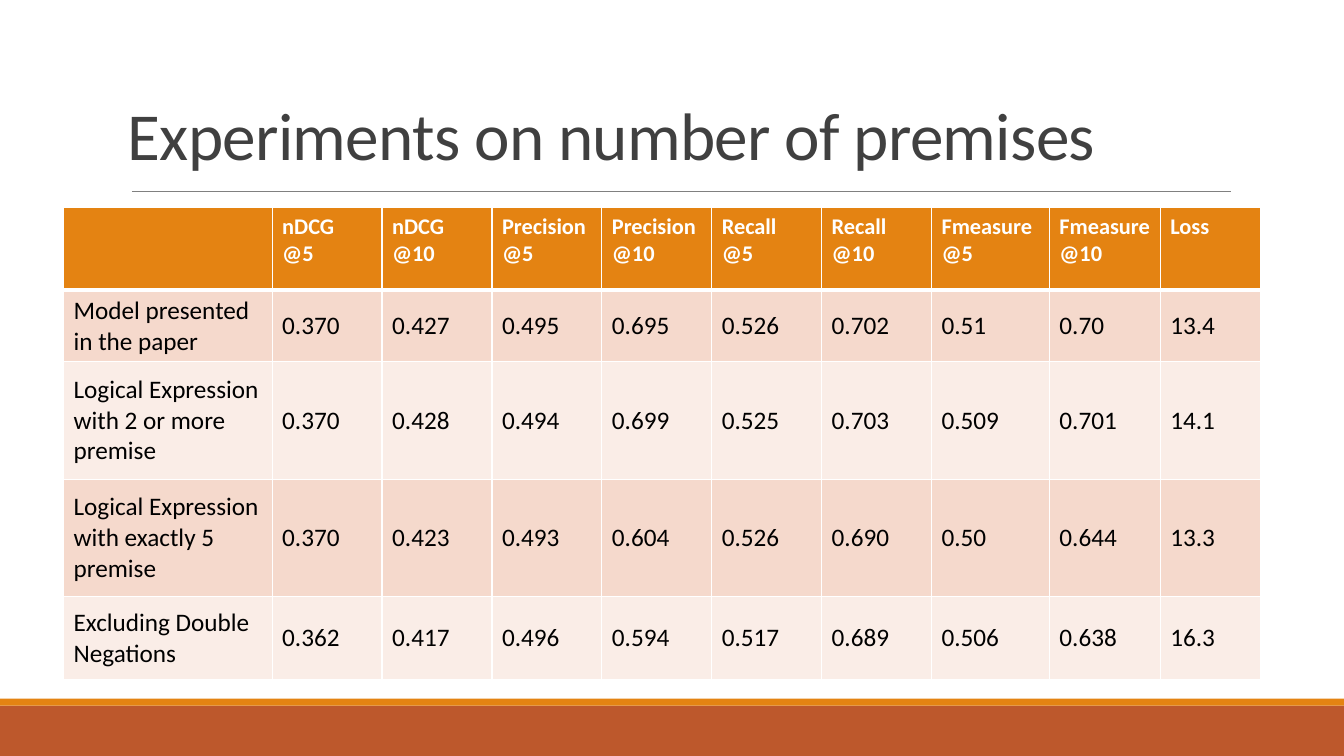
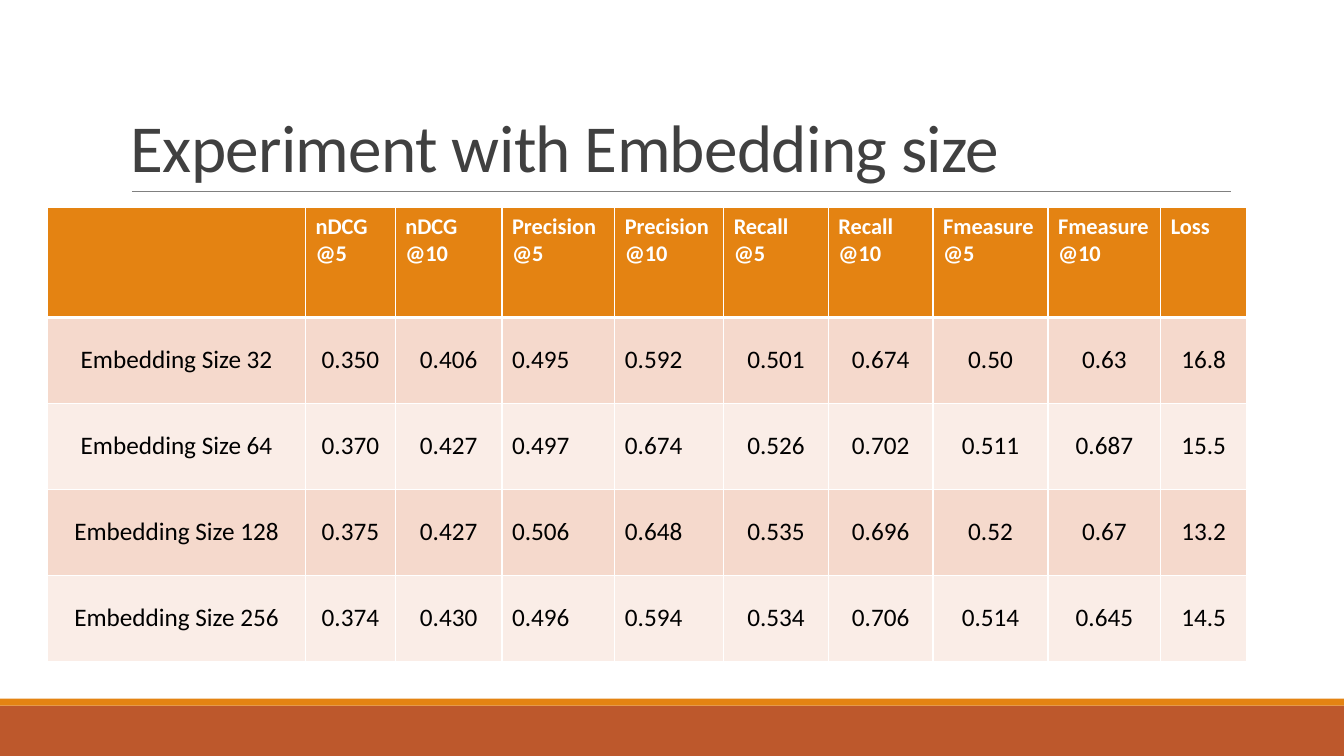
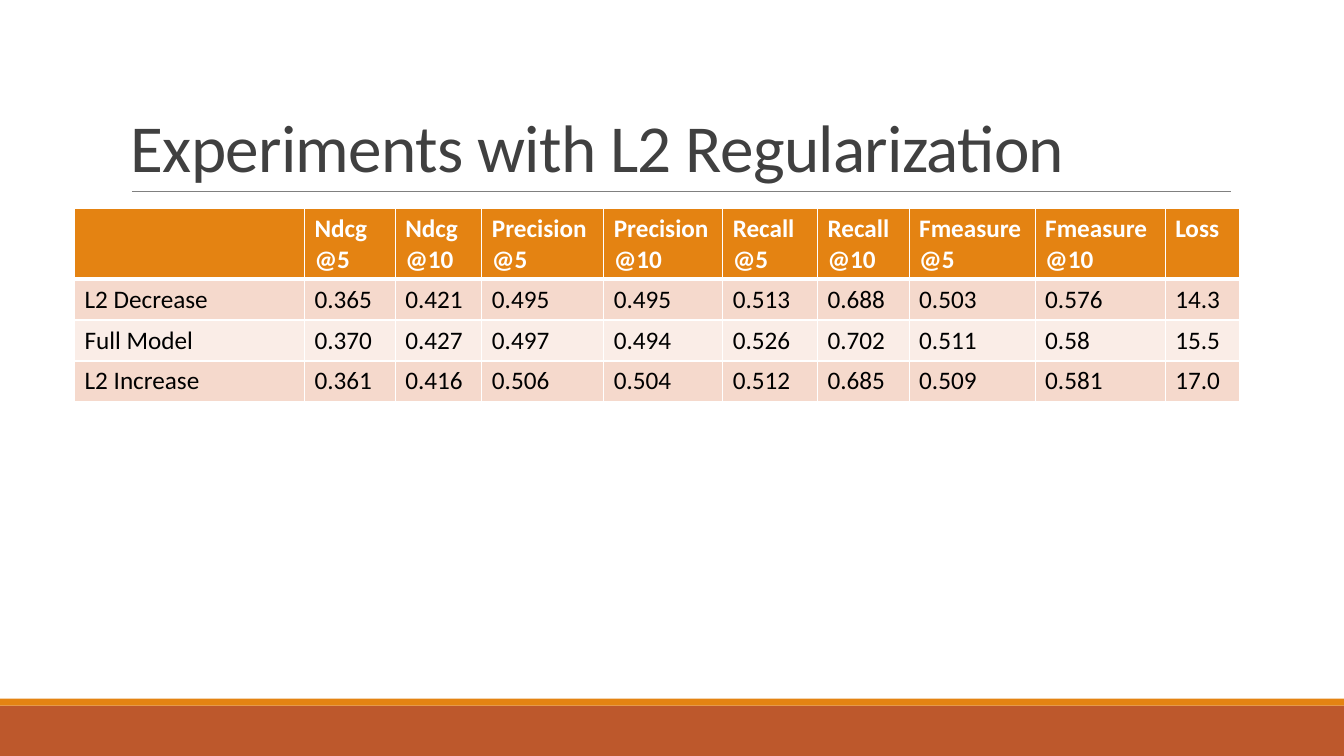
from dataclasses import dataclass

from lxml.etree import SubElement
from pptx import Presentation
from pptx.dml.color import RGBColor as RGB
from pptx.enum.shapes import MSO_CONNECTOR as CONN, MSO_SHAPE as SHAPE
from pptx.enum.text import MSO_ANCHOR as ANCHOR, PP_ALIGN as ALIGN
from pptx.oxml.ns import qn
from pptx.util import Pt


@dataclass(frozen=True)
class Theme:
    font: str = "Calibri"
    orange: str = "E48312"
    rust: str = "BD582C"
    rule: str = "808080"
    title: str = "404040"
    body: str = "000000"
    white: str = "FFFFFF"
    stripes: tuple = ("F5D9CC", "FAEDE7")
    title_size: int = 48
    body_size: int = 18
    small_size: int = 16


T = Theme()
WIDTH, HEIGHT = 960, 540


def write(tf, text, size=T.body_size, color=T.body, bold=False,
          align=ALIGN.LEFT, line=None, spacing=None):
    for i, part in enumerate(text.split("\n")):
        p = tf.add_paragraph() if i else tf.paragraphs[0]
        p.alignment = align
        if line:
            p.line_spacing = line
        r = p.add_run()
        r.text = part
        f = r.font
        f.name, f.size, f.bold = T.font, Pt(size), bold
        f.color.rgb = RGB.from_string(color)
        if spacing is not None:
            r._r.get_or_add_rPr().set("spc", str(int(spacing * 100)))


def add_band(s, top, height, color):
    sp = s.shapes.add_shape(SHAPE.RECTANGLE, 0, Pt(top), Pt(WIDTH), Pt(height))
    sp.shadow.inherit = False
    sp.fill.solid()
    sp.fill.fore_color.rgb = RGB.from_string(color)
    sp.line.fill.background()


def add_frame(s):
    add_band(s, 504, 36, T.rust)
    add_band(s, 499, 5, T.orange)
    rule = s.shapes.add_connector(CONN.STRAIGHT, Pt(94.3), Pt(136.8), Pt(879.1), Pt(136.8))
    rule.line.color.rgb = RGB.from_string(T.rule)
    rule.line.width = Pt(0.5)
    SubElement(rule._element.spPr, qn("a:effectLst"))


def add_title(s, text, left, top):
    box = s.shapes.add_textbox(Pt(left), Pt(top), Pt(792), Pt(114.5))
    tf = box.text_frame
    tf.word_wrap = True
    tf.vertical_anchor = ANCHOR.BOTTOM
    write(tf, text, size=T.title_size, color=T.title, line=0.85, spacing=-0.5)


def add_borders(cell, **widths):
    tc_pr = cell._tc.get_or_add_tcPr()
    for side in "LRTB":
        ln = SubElement(tc_pr, qn(f"a:ln{side}"), w=str(Pt(widths.get(side, 1))))
        fill = SubElement(ln, qn("a:solidFill"))
        SubElement(fill, qn("a:srgbClr"), val=T.white)


def fill_cell(cell, text, fill, anchor, **fmt):
    cell.fill.solid()
    cell.fill.fore_color.rgb = RGB.from_string(fill)
    cell.vertical_anchor = anchor
    if text:
        write(cell.text_frame, text, **fmt)


def add_results(s, left, top, cols, heights, header, rows,
                header_size=T.small_size, anchor=ANCHOR.MIDDLE, centered=()):
    frame = s.shapes.add_table(len(heights), len(cols), Pt(left), Pt(top),
                               Pt(sum(cols)), Pt(sum(heights)))
    table = frame.table
    for column, width in zip(table.columns, cols):
        column.width = Pt(width)
    for row, height in zip(table.rows, heights):
        row.height = Pt(height)
    for c, label in enumerate(["", *header]):
        cell = table.cell(0, c)
        add_borders(cell, B=3)
        fill_cell(cell, label, T.orange, ANCHOR.TOP,
                  size=header_size, color=T.white, bold=True)
    for r, (name, values) in enumerate(rows, 1):
        for c, text in enumerate([name, *values.split()]):
            cell = table.cell(r, c)
            add_borders(cell, T=3 if r == 1 else 1)
            fill_cell(cell, text, T.stripes[(r - 1) % 2], anchor,
                      align=ALIGN.CENTER if c in centered else ALIGN.LEFT)


SLIDES = [
    dict(
        title=("Experiments on number of premises", 84.2, 13.7),
        table=dict(
            left=45.4, top=148.3,
            cols=[149] + [78.5] * 6 + [84.2, 79.2, 72],
            heights=[59, 51, 84, 84, 59],
            header=["nDCG\n@5", "nDCG\n@10", "Precision@5", "Precision@10", "Recall\n@5",
                    "Recall\n@10", "Fmeasure@5", "Fmeasure@10", "Loss"],
            rows=[
                ("Model presented in the paper",
                 "0.370 0.427 0.495 0.695 0.526 0.702 0.51 0.70 13.4"),
                ("Logical Expression with 2 or more premise",
                 "0.370 0.428 0.494 0.699 0.525 0.703 0.509 0.701 14.1"),
                ("Logical Expression\nwith exactly 5 premise",
                 "0.370 0.423 0.493 0.604 0.526 0.690 0.50 0.644 13.3"),
                ("Excluding Double Negations",
                 "0.362 0.417 0.496 0.594 0.517 0.689 0.506 0.638 16.3"),
            ])),
    dict(
        title=("Experiment with Embedding size", 86.4, 22.3),
        table=dict(
            left=34, top=148.3,
            cols=[184.3, 64.1, 76.2, 80.6, 77.8, 74.8, 74.8, 82.1, 80.6, 61.1],
            heights=[78.4] + [61.4] * 4,
            centered=(0, 1, 2, 5, 6, 7, 8, 9),
            header=["nDCG\n@5", "nDCG\n@10", "Precision\n@5", "Precision@10", "Recall\n@5",
                    "Recall\n@10", "Fmeasure@5", "Fmeasure@10", "Loss"],
            rows=[
                ("Embedding Size 32", "0.350 0.406 0.495 0.592 0.501 0.674 0.50 0.63 16.8"),
                ("Embedding Size 64", "0.370 0.427 0.497 0.674 0.526 0.702 0.511 0.687 15.5"),
                ("Embedding Size 128", "0.375 0.427 0.506 0.648 0.535 0.696 0.52 0.67 13.2"),
                ("Embedding Size 256", "0.374 0.430 0.496 0.594 0.534 0.706 0.514 0.645 14.5"),
            ])),
    dict(
        title=("Experiments with L2 Regularization", 86.4, 22.3),
        table=dict(
            left=53.3, top=149,
            cols=[164.2, 64.8, 61.9, 87.1, 85, 67.7, 65.5, 90, 92.9, 53.3],
            heights=[50.4] + [29.2] * 3,
            header_size=T.body_size, anchor=ANCHOR.TOP,
            header=["Ndcg@5", "Ndcg@10", "Precision@5", "Precision@10", "Recall@5",
                    "Recall@10", "Fmeasure@5", "Fmeasure@10", "Loss"],
            rows=[
                ("L2 Decrease", "0.365 0.421 0.495 0.495 0.513 0.688 0.503 0.576 14.3"),
                ("Full Model", "0.370 0.427 0.497 0.494 0.526 0.702 0.511 0.58 15.5"),
                ("L2 Increase", "0.361 0.416 0.506 0.504 0.512 0.685 0.509 0.581 17.0"),
            ])),
]


def main():
    prs = Presentation()
    prs.slide_width, prs.slide_height = Pt(WIDTH), Pt(HEIGHT)
    for content in SLIDES:
        s = prs.slides.add_slide(prs.slide_layouts[6])
        add_frame(s)
        add_title(s, *content["title"])
        add_results(s, **content["table"])
    prs.save("out.pptx")


if __name__ == "__main__":
    main()
